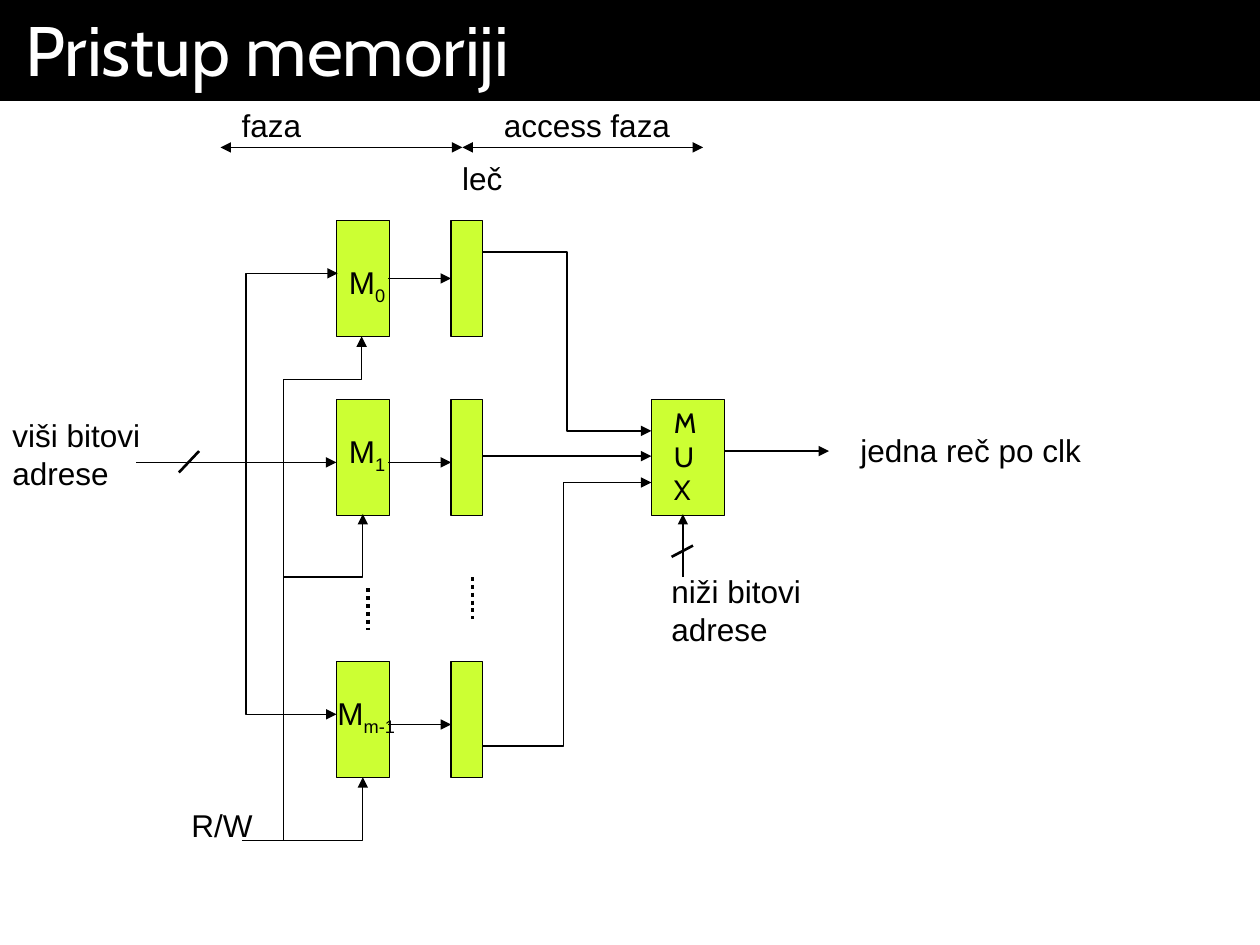
from lxml.etree import SubElement
from pptx import Presentation
from pptx.dml.color import RGBColor
from pptx.enum.dml import MSO_LINE
from pptx.enum.shapes import MSO_CONNECTOR, MSO_SHAPE
from pptx.enum.text import MSO_ANCHOR, MSO_AUTO_SIZE, PP_ALIGN
from pptx.oxml.ns import qn
from pptx.util import Inches, Pt

BLACK = RGBColor(0x00, 0x00, 0x00)
WHITE = RGBColor(0xFF, 0xFF, 0xFF)
LIME = RGBColor(0xCC, 0xFF, 0x33)


def add_text(s, text, x, y, w, h, sub=None, font="Arial", size=18):
    """Add a label; each line of text is a paragraph, sub is a subscript."""
    tf = s.shapes.add_textbox(Inches(x), Inches(y), Inches(w), Inches(h)).text_frame
    tf.word_wrap = False
    tf.auto_size = MSO_AUTO_SIZE.SHAPE_TO_FIT_TEXT
    tf.vertical_anchor = MSO_ANCHOR.BOTTOM
    tf.text = text
    if sub:
        r = tf.paragraphs[0].add_run()
        r.text = sub
        r.font._element.set("baseline", "-25000")
    for p in tf.paragraphs:
        for r in p.runs:
            r.font.name, r.font.size = font, Pt(size)
            r.font.color.rgb = BLACK


def add_line(s, x1, y1, x2, y2, ends="tail", width=0.75, preset="line", adj=None, rot=0, dash=None):
    """Add a connector; ends names the arrowheads, preset and adj the bend."""
    kind = MSO_CONNECTOR.STRAIGHT if preset == "line" else MSO_CONNECTOR.ELBOW
    c = s.shapes.add_connector(kind, Inches(x1), Inches(y1), Inches(x2), Inches(y2))
    c.line.color.rgb = BLACK
    c.line.width = Pt(width)
    if dash:
        c.line.dash_style = dash
    spPr = c._element.spPr
    geom = spPr.find(qn("a:prstGeom"))
    geom.set("prst", preset)
    if adj is not None:
        gd = SubElement(geom.find(qn("a:avLst")), qn("a:gd"))
        gd.set("name", "adj1")
        gd.set("fmla", f"val {round(adj * 100000)}")
    if rot:
        spPr.find(qn("a:xfrm")).set("rot", str(rot * 60000))
    ln = spPr.find(qn("a:ln"))
    for end in ends.split():
        SubElement(ln, qn(f"a:{end}End")).set("type", "triangle")
    SubElement(spPr, qn("a:effectLst"))


prs = Presentation()
prs.slide_width, prs.slide_height = Inches(10), Inches(7.5)
s = prs.slides.add_slide(prs.slide_layouts[5])

# Title bar
title = s.shapes.title
title.left, title.top, title.width, title.height = 0, 0, Inches(10), Inches(0.77)
title.fill.solid()
title.fill.fore_color.rgb = BLACK
tf = title.text_frame
tf.text = "Pristup memoriji"
tf.margin_left = tf.margin_right = Inches(0.2)
tf.auto_size = MSO_AUTO_SIZE.SHAPE_TO_FIT_TEXT
p = tf.paragraphs[0]
p.alignment = PP_ALIGN.LEFT
p.font.name, p.font.size = "Cabin", Pt(40)
p.font.color.rgb = WHITE

# Memory modules, latches and multiplexer
rows = (1.75, 3.17, 5.25)
boxes = [(x, y, w) for x, w in ((2.67, 0.42), (3.58, 0.25)) for y in rows]
for x, y, w in boxes + [(5.17, 3.17, 0.58)]:
    sp = s.shapes.add_shape(MSO_SHAPE.RECTANGLE, Inches(x), Inches(y), Inches(w), Inches(0.92))
    sp.shadow.inherit = False
    sp.fill.solid()
    sp.fill.fore_color.rgb = LIME
    sp.line.color.rgb = BLACK
    sp.line.width = Pt(0.75)

# R/W control to each module
add_line(s, 1.92, 6.67, 2.88, 6.17, preset="bentConnector2")
add_line(s, 0.56, 4.36, 4.56, 4.98, preset="bentConnector3", adj=0.914, rot=270)
add_line(s, 2.25, 4.58, 2.88, 4.08, preset="bentConnector2")

# Address bus to the modules
add_line(s, 2.67, 5.67, 2.68, 2.17, ends="head tail", preset="bentConnector3", adj=-73)
add_line(s, 1.08, 3.67, 2.67, 3.67)

# Modules to latches
for y in (2.21, 3.67, 5.75):
    add_line(s, 3.08, y, 3.58, y)

# Latches to multiplexer, then its output and select input
add_line(s, 3.83, 5.92, 5.17, 3.83, preset="bentConnector3", adj=0.48)
add_line(s, 3.83, 2, 5.17, 3.42, preset="bentConnector3", adj=0.5)
add_line(s, 3.83, 3.62, 5.17, 3.62)
add_line(s, 5.75, 3.58, 6.58, 3.58)
add_line(s, 5.42, 4.58, 5.42, 4.08)

# Bus width slashes
add_line(s, 1.58, 3.58, 1.42, 3.75, ends="", width=1.5)
add_line(s, 5.33, 4.42, 5.5, 4.33, ends="", width=1.5)

# Dots for the omitted rows
for x, y in ((2.92, 4.67), (3.75, 4.58)):
    add_line(s, x, y, x, y + 0.33, ends="", width=2.25, dash=MSO_LINE.ROUND_DOT)

# Phase spans
for x1, x2 in ((1.75, 3.67), (3.67, 5.58)):
    add_line(s, x1, 1.17, x2, 1.17, ends="head tail")

# Labels
for text, x, y, w, h in (
    ("R/W", 1.42, 6.35, 0.69, 0.4),
    ("niži bitovi\nadrese", 5.23, 4.49, 1.23, 0.7),
    ("viši bitovi\nadrese", 0, 3.25, 1.22, 0.7),
    ("leč", 3.57, 1.21, 0.52, 0.4),
    ("jedna reč po clk", 6.73, 3.37, 1.95, 0.4),
    ("faza", 1.82, 0.79, 1.28, 0.4),
    ("access faza", 3.9, 0.79, 1.52, 0.4),
):
    add_text(s, text, x, y, w, h)
for sub, x, y, w in (("0", 2.67, 2.08, 0.5), ("1", 2.67, 3.42, 0.5), ("m-1", 2.58, 5.5, 0.7)):
    add_text(s, "M", x, y, w, 0.4, sub=sub)
add_text(s, "M\nU\nX", 5.25, 3.17, 0.37, 0.9, font="Cabin", size=16)

prs.save("out.pptx")
